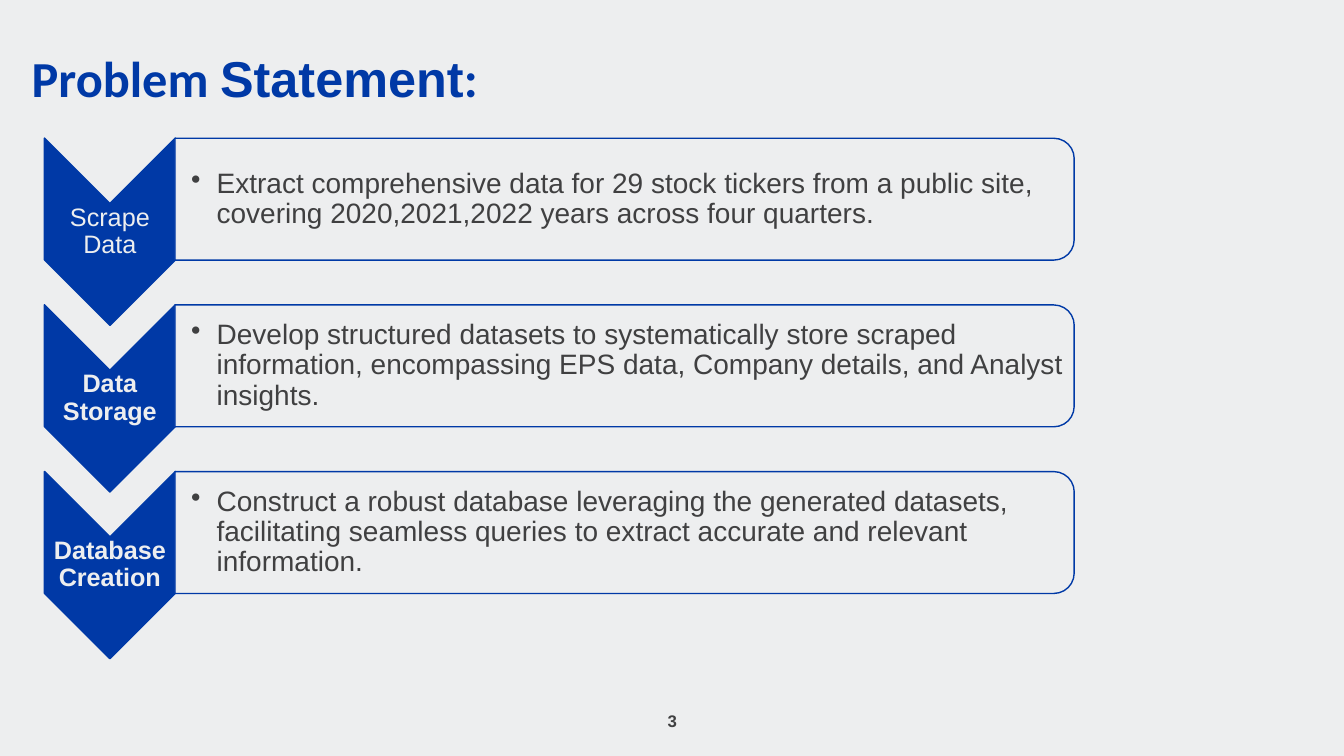
"""Build the problem statement slide with its three chevron steps."""
from dataclasses import dataclass

from lxml import etree
from pptx import Presentation
from pptx.dml.color import RGBColor
from pptx.enum.shapes import MSO_SHAPE
from pptx.enum.text import MSO_ANCHOR, PP_ALIGN
from pptx.oxml.ns import qn
from pptx.util import Cm, Pt

CHEVRON, CARD = MSO_SHAPE.CHEVRON, MSO_SHAPE.ROUND_2_SAME_RECTANGLE
MIDDLE, BOTTOM = MSO_ANCHOR.MIDDLE, MSO_ANCHOR.BOTTOM
LEFT, CENTER = PP_ALIGN.LEFT, PP_ALIGN.CENTER


@dataclass(frozen=True)
class Theme:
    blue: RGBColor = RGBColor.from_string("0039A6")
    pale: RGBColor = RGBColor.from_string("EDEEEF")
    dark: RGBColor = RGBColor.from_string("404041")
    font: str = "Arial"
    title_font: str = "Calibri"
    title: int = 36
    body: int = 20
    label: int = 18
    footer: int = 12


@dataclass(frozen=True)
class Step:
    label: str
    body: str
    bold: bool = True


THEME = Theme()
FIRST_Y, PITCH = 5.84, 4.2
CARD_RISE = 0.82
STEPS = (
    Step("Scrape Data", "Extract comprehensive data for 29 stock tickers from a public site, "
         "covering 2020,2021,2022 years across four quarters.", bold=False),
    Step("Data Storage", "Develop structured datasets to systematically store scraped information, "
         "encompassing EPS data, Company details, and Analyst insights."),
    Step("Database Creation", "Construct a robust database leveraging the generated datasets, "
         "facilitating seamless queries to extract accurate and relevant information."),
)


def add_text(s, runs, x: float, y: float, w: float, h: float, *, size: int, color: RGBColor,
             bold: bool = False, align=LEFT, anchor=MIDDLE, inset: float = 0.03,
             left_inset: float = 0.03, spacing: float = 0.9, bullet: bool = False) -> None:
    """Add one paragraph made of (text, font) runs in a wrapped text box."""
    tf = s.shapes.add_textbox(Cm(x), Cm(y), Cm(w), Cm(h)).text_frame
    tf.word_wrap = True
    tf.vertical_anchor = anchor
    tf.margin_left = Cm(left_inset)
    tf.margin_top = tf.margin_right = tf.margin_bottom = Cm(inset)
    p = tf.paragraphs[0]
    p.alignment = align
    p.line_spacing = spacing
    if bullet:
        pPr = p._p.get_or_add_pPr()
        pPr.set("marL", str(Cm(0.64)))
        pPr.set("indent", str(Cm(-0.64)))
        etree.SubElement(pPr, qn("a:buChar")).set("char", "•")
    for text, font in runs:
        r = p.add_run()
        r.text = text
        r.font.name = font
        r.font.size = Pt(size)
        r.font.bold = bold
        r.font.color.rgb = color


def add_turned_shape(s, kind, cx: float, cy: float, w: float, h: float, fill: RGBColor):
    """Add a shape centred on a point and turned a quarter clockwise."""
    sp = s.shapes.add_shape(kind, Cm(cx - w / 2), Cm(cy - h / 2), Cm(w), Cm(h))
    sp.rotation = 90
    sp.shadow.inherit = False
    sp.fill.solid()
    sp.fill.fore_color.rgb = fill
    sp.line.color.rgb = THEME.blue
    sp.line.width = Pt(1)
    return sp


def add_step(s, step: Step, cy: float) -> None:
    """Draw one chevron with its label, card and bullet."""
    card_y = cy - CARD_RISE
    add_turned_shape(s, CHEVRON, 2.77, cy, 4.72, 3.3, THEME.blue)
    add_text(s, [(step.label, THEME.font)], 1.12, cy - 0.71, 3.3, 1.42, size=THEME.label,
             color=THEME.pale, bold=step.bold, align=CENTER)
    card = add_turned_shape(s, CARD, 15.74, card_y, 3.07, 22.66, THEME.pale)
    color = card.fill._xPr.find(qn("a:solidFill"))[0]
    etree.SubElement(color, qn("a:alpha")).set("val", "90000")
    add_text(s, [(step.body, THEME.font)], 4.42, card_y - 1.38, 22.5, 2.76, size=THEME.body,
             color=THEME.dark, left_inset=0.4, bullet=True)


def main() -> None:
    """Build and save the slide."""
    prs = Presentation()
    prs.slide_width, prs.slide_height = Cm(33.87), Cm(19.05)
    s = prs.slides.add_slide(prs.slide_layouts[6])
    s.background.fill.solid()
    s.background.fill.fore_color.rgb = THEME.pale
    title = [("Problem ", THEME.title_font), ("Statement", THEME.font), (":", THEME.title_font)]
    add_text(s, title, 0.8, 0, 31.75, 2.74, size=THEME.title, color=THEME.blue, bold=True,
             anchor=BOTTOM, inset=0, left_inset=0)
    for i, step in enumerate(STEPS):
        add_step(s, step, FIRST_Y + i * PITCH)
    add_text(s, [("3", THEME.font)], 13.13, 17.66, 7.62, 1.02, size=THEME.footer,
             color=THEME.dark, bold=True, align=CENTER, spacing=1.0)
    prs.save("out.pptx")


if __name__ == "__main__":
    main()
